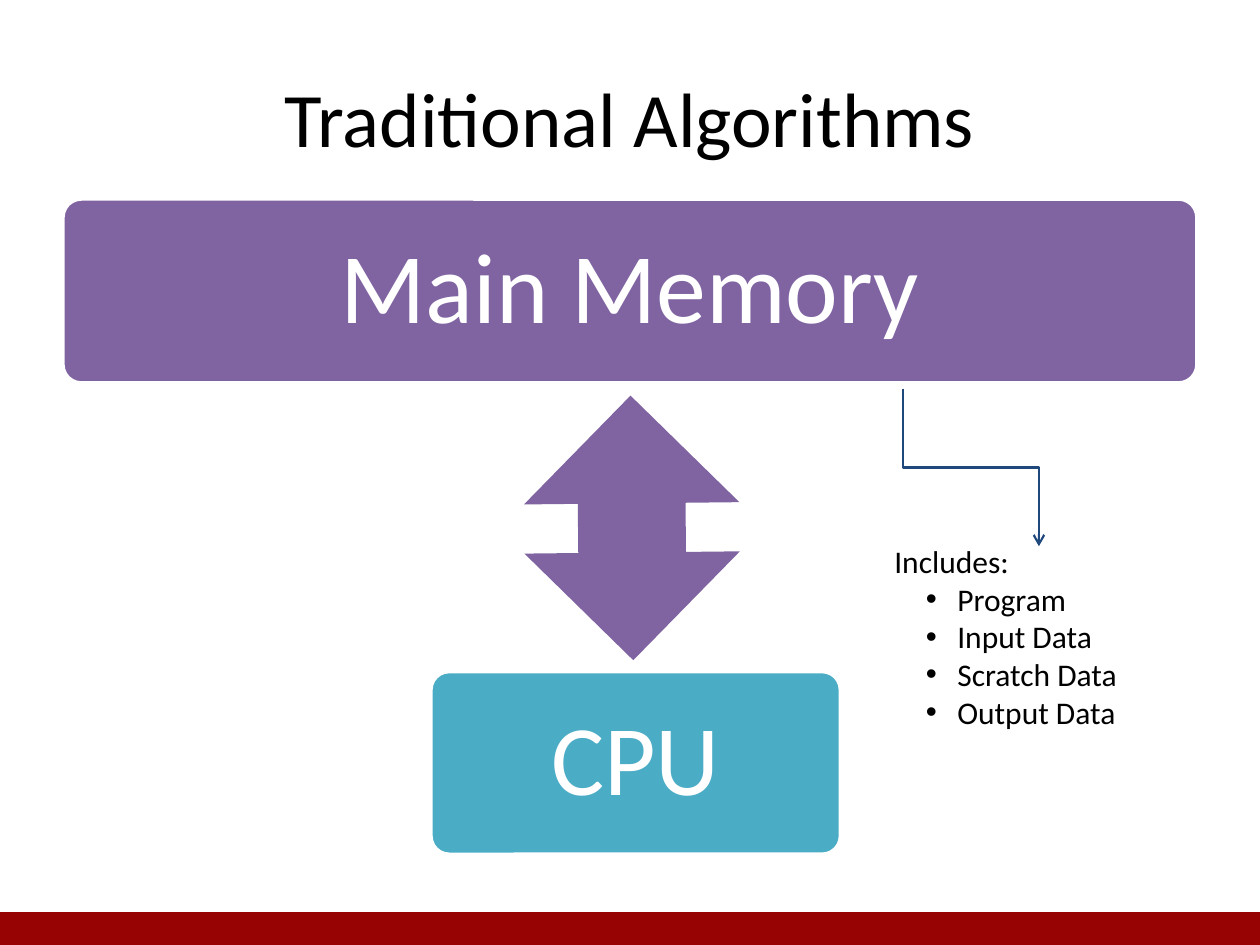
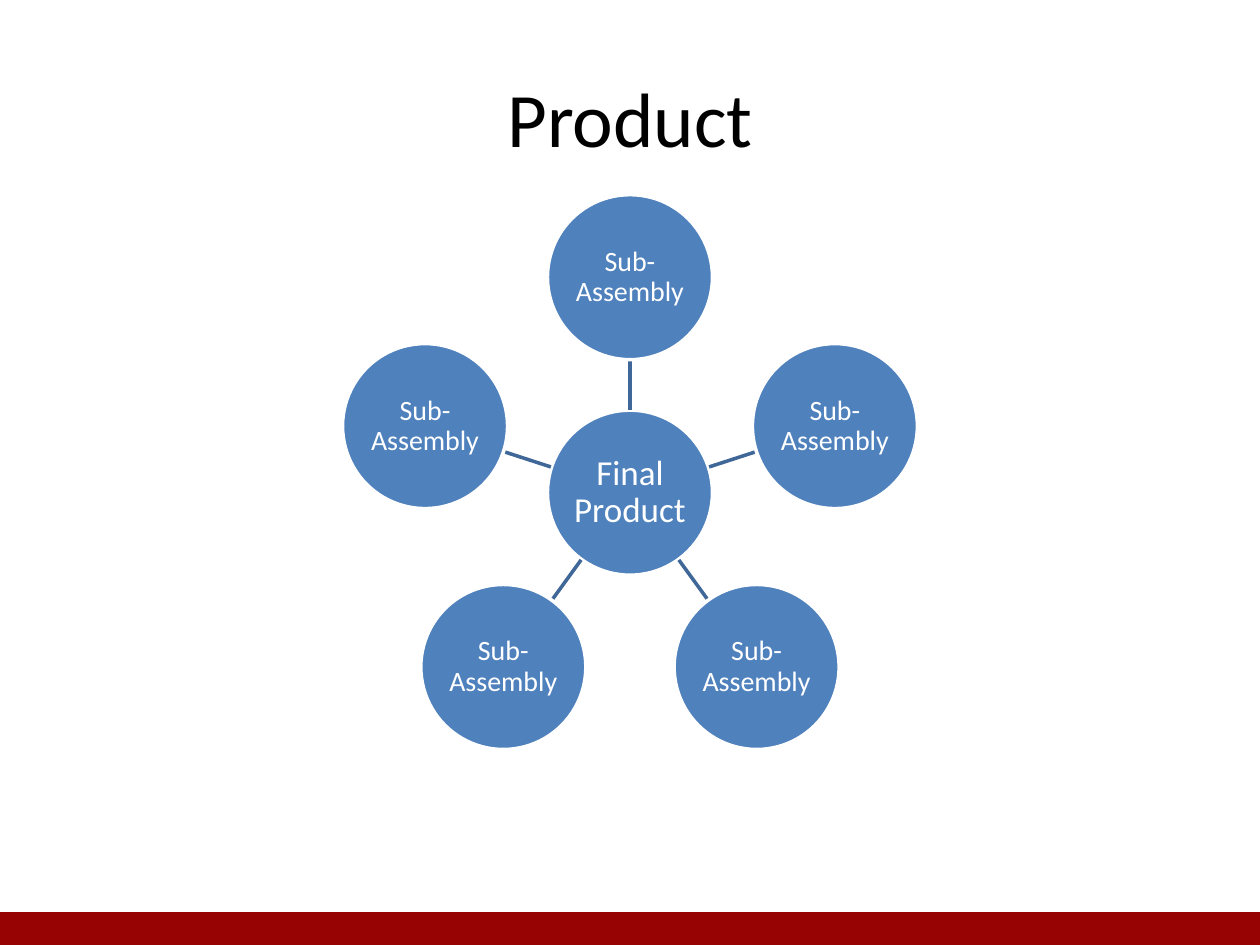
from math import cos, radians, sin

from lxml.etree import SubElement
from pptx import Presentation
from pptx.dml.color import RGBColor
from pptx.enum.shapes import MSO_CONNECTOR, MSO_SHAPE
from pptx.enum.text import MSO_ANCHOR, PP_ALIGN
from pptx.oxml.ns import qn
from pptx.util import Inches, Pt


class Theme:
    """Colours, font and type sizes shared by the slides."""
    font = "Calibri"
    black = RGBColor.from_string("000000")
    white = RGBColor.from_string("FFFFFF")
    band = RGBColor.from_string("970303")
    memory = RGBColor.from_string("8064A2")
    cpu = RGBColor.from_string("4BACC6")
    pointer = RGBColor.from_string("1F497D")
    circle = RGBColor.from_string("4F81BD")
    spoke = RGBColor.from_string("3F6797")
    title_size = 44
    block_size = 57
    hub_size = 20
    part_size = 16
    note_size = 18


def write_text(shape, text, size, color=Theme.white, align=PP_ALIGN.CENTER,
               anchor=MSO_ANCHOR.MIDDLE, spacing=0.9, inset=None):
    """Write one paragraph per line of text into a shape, and format it."""
    frame = shape.text_frame
    frame.text = text
    frame.word_wrap = True
    frame.vertical_anchor = anchor
    if inset is not None:
        frame.margin_left = frame.margin_right = Inches(inset)
        frame.margin_top = frame.margin_bottom = Inches(inset)
    for paragraph in frame.paragraphs:
        paragraph.alignment = align
        paragraph.line_spacing = spacing
        paragraph.font.name = Theme.font
        paragraph.font.size = Pt(size)
        paragraph.font.color.rgb = color


def add_block(slide, kind, left, top, width, height, fill, line=None):
    """Add a flat preset shape, placed in inches, with an optional outline."""
    shape = slide.shapes.add_shape(
        kind, Inches(left), Inches(top), Inches(width), Inches(height))
    shape.shadow.inherit = False
    shape.fill.solid()
    shape.fill.fore_color.rgb = fill
    if line is None:
        shape.line.fill.background()
    else:
        shape.line.color.rgb = line
        shape.line.width = Pt(2)
    return shape


presentation = Presentation()
presentation.slide_width = Inches(10)
presentation.slide_height = Inches(7.5)
layout = presentation.slide_layouts[5]

# Shared title style
slides = []
for title_text in ("Traditional Algorithms", "Product"):
    slide = presentation.slides.add_slide(layout)
    title = slide.shapes.title
    title.left, title.top = Inches(0.5), Inches(0.3)
    title.width, title.height = Inches(9), Inches(1.25)
    write_text(title, title_text, Theme.title_size, color=Theme.black, spacing=1.0)
    slides.append(slide)
memory_slide, product_slide = slides

# Shared bottom band: moved to the layout, so that every slide shows it
band = add_block(memory_slide, MSO_SHAPE.RECTANGLE, 0, 7.25, 10, 0.25,
                 Theme.band, Theme.band)
layout.shapes.element.append(band.element)

# Slide 1: memory and processor
for text, left, top, width, height, fill in (
        ("Main Memory", 0.5, 1.58, 9, 1.46, Theme.memory),
        ("CPU", 3.42, 5.33, 3.25, 1.45, Theme.cpu)):
    block = add_block(memory_slide, MSO_SHAPE.ROUNDED_RECTANGLE,
                      left, top, width, height, fill, Theme.white)
    block.adjustments[0] = 0.1
    write_text(block, text, Theme.block_size, inset=0.24)

exchange_arrow = add_block(memory_slide, MSO_SHAPE.UP_DOWN_ARROW,
                           4.16, 3.14, 1.71, 2.1, Theme.memory)
exchange_arrow.rotation = 359.4

contents = memory_slide.shapes.add_textbox(
    Inches(7), Inches(4.25), Inches(2.5), Inches(1.62))
write_text(contents, "Includes:\nProgram\nInput Data\nScratch Data\nOutput Data",
           Theme.note_size, color=Theme.black, align=PP_ALIGN.LEFT,
           anchor=MSO_ANCHOR.TOP, spacing=1.0)
for paragraph in contents.text_frame.paragraphs[1:]:
    paragraph.level = 1
    properties = paragraph._p.get_or_add_pPr()
    properties.set("marL", str(Inches(0.5)))
    properties.set("indent", str(Inches(-0.25)))
    bullet_font = SubElement(properties, qn("a:buFont"), typeface="Arial")
    bullet = SubElement(properties, qn("a:buChar"), char="•")
    # Bullets come before the default run format in the schema
    for default_format in properties.findall(qn("a:defRPr")):
        properties.append(default_format)

# The elbow is turned a quarter so that it leaves the memory block downwards
pointer = memory_slide.shapes.add_connector(
    MSO_CONNECTOR.ELBOW, Inches(8.33), Inches(3.17), Inches(7.08), Inches(4.25))
pointer.element.spPr.find(qn("a:xfrm")).set("rot", str(270 * 60000))
pointer.line.color.rgb = Theme.pointer
pointer.line.width = Pt(1.25)
SubElement(pointer.line._get_or_add_ln(), qn("a:tailEnd"), type="arrow")
SubElement(pointer.element.spPr, qn("a:effectLst"))

# Slide 2: final product with its parts on a ring
hub_x, hub_y = 5, 3.91
diameter = 1.31
ring_radius = 1.71
spoke_start, spoke_end = 0.66, 1.06
part_count = 5

hub = add_block(product_slide, MSO_SHAPE.OVAL, hub_x - diameter / 2,
                hub_y - diameter / 2, diameter, diameter, Theme.circle, Theme.white)
write_text(hub, "Final Product", Theme.hub_size, inset=0.01)

for index in range(part_count):
    angle = radians(360 / part_count * index - 90)
    across, down = cos(angle), sin(angle)
    spoke = product_slide.shapes.add_connector(
        MSO_CONNECTOR.STRAIGHT,
        Inches(hub_x + spoke_start * across), Inches(hub_y + spoke_start * down),
        Inches(hub_x + spoke_end * across), Inches(hub_y + spoke_end * down))
    spoke.line.color.rgb = Theme.spoke
    spoke.line.width = Pt(2)
    SubElement(spoke.element.spPr, qn("a:effectLst"))
    part = add_block(product_slide, MSO_SHAPE.OVAL,
                     hub_x + ring_radius * across - diameter / 2,
                     hub_y + ring_radius * down - diameter / 2,
                     diameter, diameter, Theme.circle, Theme.white)
    write_text(part, "Sub-Assembly", Theme.part_size, inset=0.01)

presentation.save("out.pptx")
